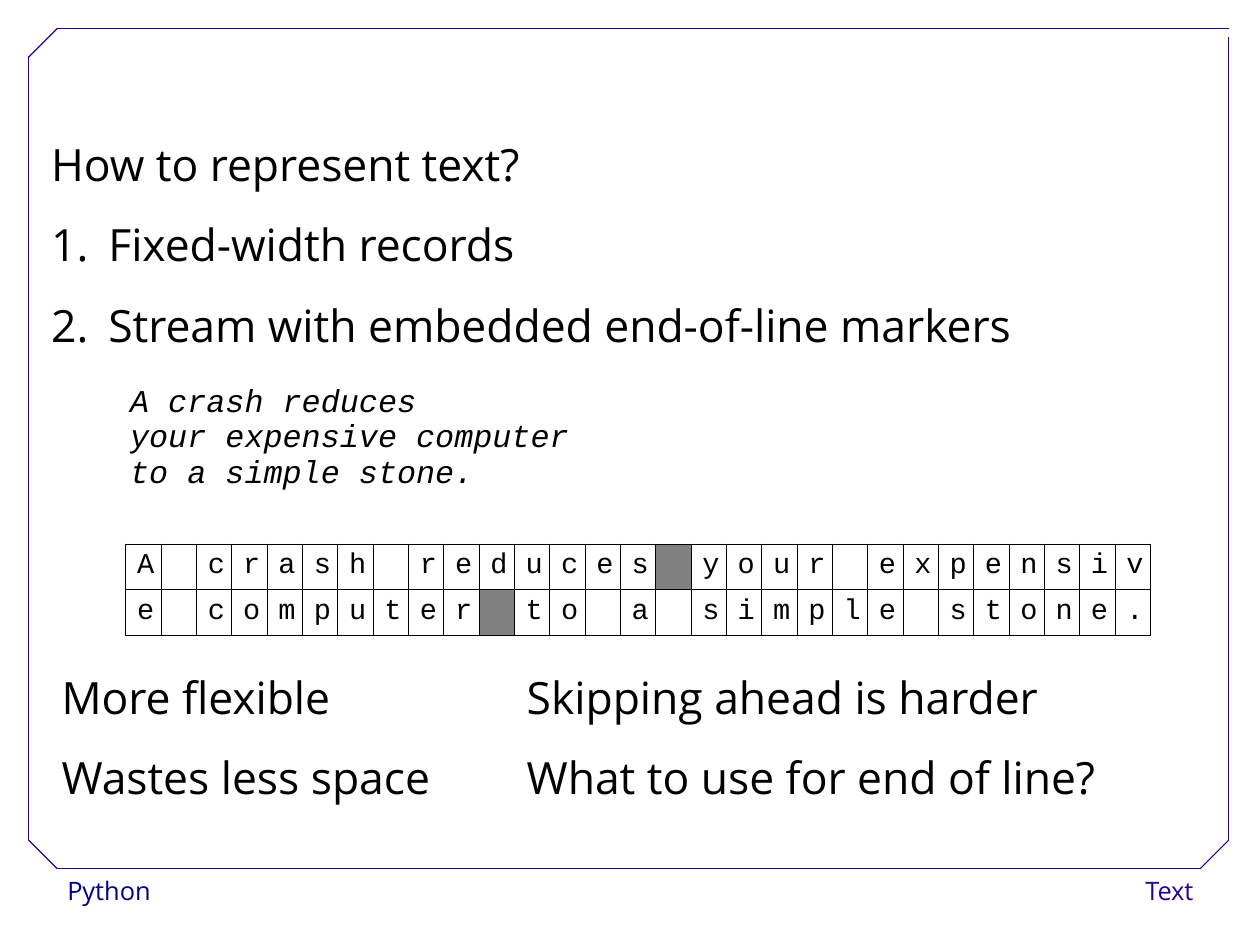
from dataclasses import dataclass

from lxml import etree
from pptx import Presentation
from pptx.dml.color import RGBColor
from pptx.enum import shapes, text
from pptx.oxml import ns
from pptx.util import Inches, Pt

BLACK = RGBColor(0x00, 0x00, 0x00)
WHITE = RGBColor(0xFF, 0xFF, 0xFF)
GREY = RGBColor(0x80, 0x80, 0x80)
NAVY = RGBColor(0x00, 0x00, 0x80)
INDIGO = RGBColor(0x28, 0x00, 0x99)
SANS = "Open Sans"
MONO = "Courier New"
END_OF_LINE = "|"
CM_PER_INCH = 2.54


@dataclass
class Style:
    font: str
    size: float
    color: RGBColor
    spacing: float
    italic: bool = False


@dataclass
class TextBlock:
    left: float
    top: float
    width: float
    height: float
    lines: list[str]
    style: Style
    numbered_from: int | None = None
    align: text.PP_ALIGN = text.PP_ALIGN.LEFT
    fill: RGBColor | None = None


BODY = Style(SANS, 28, BLACK, 1.5)
VERSE = Style(MONO, 20, BLACK, 0.93, italic=True)
CELL = Style(MONO, 18, BLACK, 0.93)

BLOCKS = [
    TextBlock(0.49, 7.6, 2.15, 0.4, ["Python"], Style(SANS, 16, NAVY, 1.02), fill=WHITE),
    TextBlock(9.14, 7.6, 1.4, 0.4, ["Text"], Style(SANS, 16, INDIGO, 1.02),
              align=text.PP_ALIGN.RIGHT, fill=WHITE),
    TextBlock(0.35, 0.92, 9.67, 2.2,
              ["How to represent text?", "Fixed-width records",
               "Stream with embedded end-of-line markers"], BODY, numbered_from=1),
    TextBlock(1.04, 3.31, 4.2, 1.07,
              ["A crash reduces", "your expensive computer", "to a simple stone."], VERSE),
    TextBlock(0.44, 5.58, 4.45, 1.5, ["More flexible", "Wastes less space"], BODY),
    TextBlock(4.51, 5.58, 6.21, 1.5,
              ["Skipping ahead is harder", "What to use for end of line?"], BODY),
]

FRAME = [
    (0.5, 7.6, 10.5, 7.6),
    (0.25, 7.35, 0.25, 0.49),
    (0.5, 0.25, 10.75, 0.25),
    (10.75, 7.35, 10.75, 0.32),
    (0.25, 0.5, 0.5, 0.25),
    (10.5, 7.6, 10.75, 7.35),
    (0.25, 7.35, 0.5, 7.6),
]

STREAM = ["A crash reduces|your expensiv", "e computer|to a simple stone."]


def add_run(p, words: str, style: Style) -> None:
    r = p.add_run()
    r.text = words
    r.font.name = style.font
    r.font.size = Pt(style.size)
    r.font.italic = style.italic
    r.font.color.rgb = style.color


def number_paragraph(p) -> None:
    pPr = p._p.get_or_add_pPr()
    pPr.set("marL", str(Inches(0.5)))
    pPr.set("indent", str(Inches(-0.5)))
    etree.SubElement(pPr, ns.qn("a:buAutoNum"), type="arabicPeriod")


def add_block(s, block: TextBlock) -> None:
    sp = s.shapes.add_textbox(Inches(block.left), Inches(block.top),
                              Inches(block.width), Inches(block.height))
    if block.fill is not None:
        sp.fill.solid()
        sp.fill.fore_color.rgb = block.fill
    tf = sp.text_frame
    tf.word_wrap = True
    for i, line in enumerate(block.lines):
        p = tf.add_paragraph() if i else tf.paragraphs[0]
        if block.numbered_from is not None and i >= block.numbered_from:
            number_paragraph(p)
        p.alignment = block.align
        p.line_spacing = block.style.spacing
        add_run(p, line, block.style)


def add_line(s, x1: float, y1: float, x2: float, y2: float) -> None:
    sp = s.shapes.add_connector(shapes.MSO_CONNECTOR.STRAIGHT, Inches(x1), Inches(y1),
                                Inches(x2), Inches(y2))
    sp.line.color.rgb = INDIGO
    sp.line.width = Pt(0.75)
    etree.SubElement(sp._element.spPr, ns.qn("a:effectLst"))


def add_borders(cell) -> None:
    tcPr = cell._tc.get_or_add_tcPr()
    for side in ("lnL", "lnR", "lnT", "lnB"):
        ln = etree.SubElement(tcPr, ns.qn(f"a:{side}"), w=str(Pt(0.45)))
        fill = etree.SubElement(ln, ns.qn("a:solidFill"))
        etree.SubElement(fill, ns.qn("a:srgbClr"), val=str(BLACK))


def add_stream(s, rows: list[str]) -> None:
    count = len(rows[0])
    table = s.shapes.add_table(len(rows), count, Inches(1.1), Inches(4.76),
                               Inches(8.97), Inches(0.8)).table
    table.first_row = False
    table.horz_banding = False
    for column in table.columns:
        column.width = Inches(8.97 / count)
    for i, row in enumerate(rows):
        table.rows[i].height = Inches(0.4)
        for j, char in enumerate(row):
            cell = table.cell(i, j)
            add_borders(cell)
            if char == END_OF_LINE:
                cell.fill.solid()
                cell.fill.fore_color.rgb = GREY
            else:
                cell.fill.background()
            p = cell.text_frame.paragraphs[0]
            p.line_spacing = CELL.spacing
            if char not in (" ", END_OF_LINE):
                add_run(p, char, CELL)


def main() -> None:
    prs = Presentation()
    prs.slide_width = Inches(28 / CM_PER_INCH)
    prs.slide_height = Inches(21 / CM_PER_INCH)
    s = prs.slides.add_slide(prs.slide_layouts[6])
    for block in BLOCKS:
        add_block(s, block)
    for line in FRAME:
        add_line(s, *line)
    add_stream(s, STREAM)
    prs.save("out.pptx")


if __name__ == "__main__":
    main()
